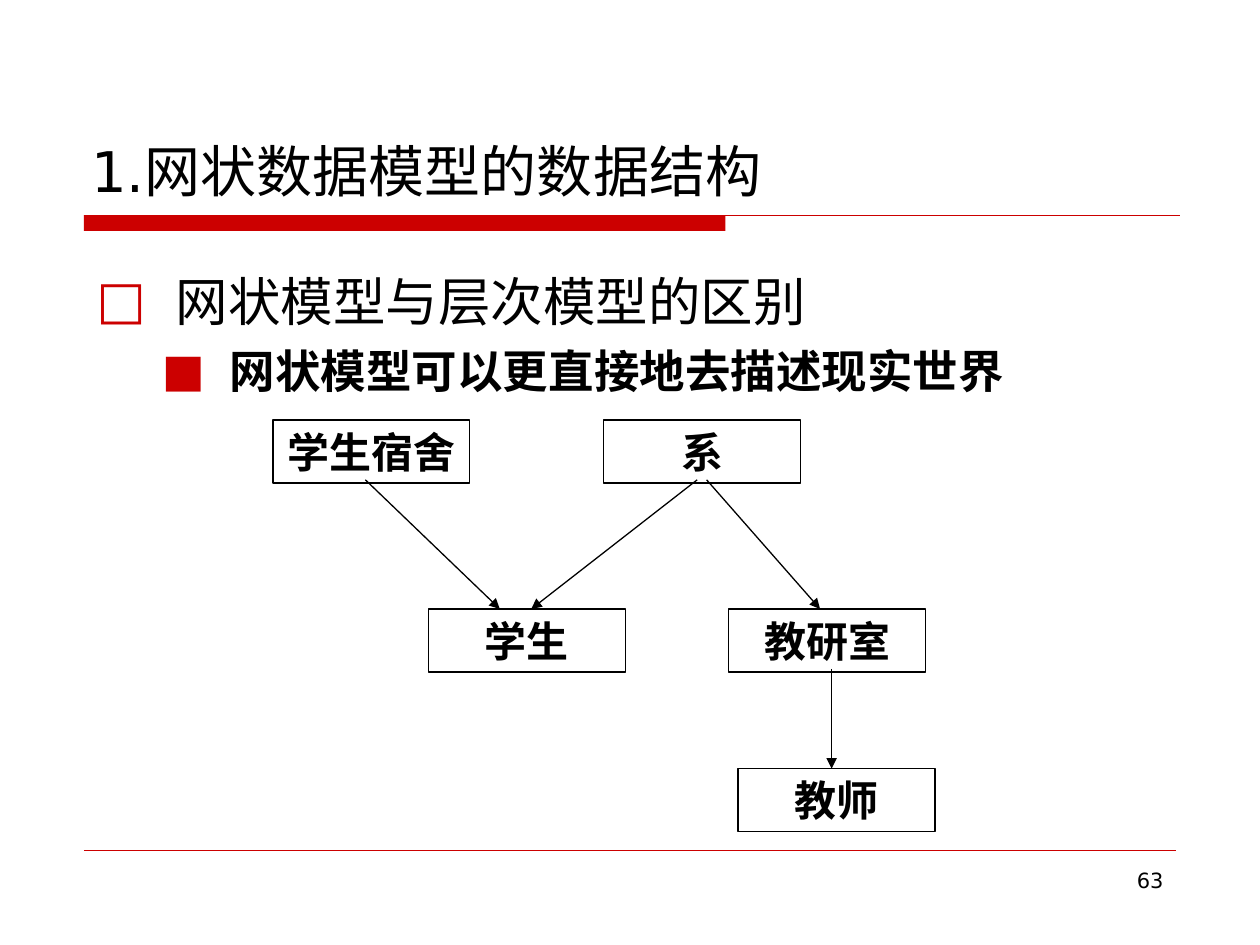
import pptx
import pptx.util
import pptx.dml.color
import pptx.enum.shapes
import pptx.enum.text
import pptx.oxml
import pptx.oxml.ns
from dataclasses import dataclass
from lxml import etree

ALIGN = pptx.enum.text.PP_ALIGN
ANCHOR = pptx.enum.text.MSO_ANCHOR


@dataclass(frozen=True)
class Theme:
    ink: str = "000000"
    accent: str = "CC0000"
    sans: str = "DejaVu Sans"
    serif: str = "Times New Roman"
    title: int = 32
    point: int = 30
    subpoint: int = 26
    node: int = 24
    number: int = 12


def color(value):
    return pptx.dml.color.RGBColor.from_string(value)


def grid(*cells):
    """Lengths in grid cells: 120 columns by 90 rows, 12 to the inch."""
    return [pptx.util.Inches(cell / 12) for cell in cells]


def add_xml(parent, tag, **attributes):
    return etree.SubElement(parent, pptx.oxml.ns.qn(tag), **attributes)


class SlideBuilder:
    def __init__(self, presentation, theme):
        self.theme = theme
        self.slide = presentation.slides.add_slide(presentation.slide_layouts[5])

    def set_text(self, paragraph, text, size, font, bold=False, align=ALIGN.LEFT):
        paragraph.text = text
        paragraph.alignment = align
        paragraph.font.size = pptx.util.Pt(size)
        paragraph.font.name = font
        paragraph.font.bold = bold
        paragraph.font.color.rgb = color(self.theme.ink)

    def frame(self, shape, anchor):
        frame = shape.text_frame
        frame.word_wrap = True
        frame.auto_size = pptx.enum.text.MSO_AUTO_SIZE.NONE
        frame.vertical_anchor = anchor
        return frame

    def title(self, text, *box):
        heading = self.slide.shapes.title
        heading.left, heading.top, heading.width, heading.height = grid(*box)
        frame = self.frame(heading, ANCHOR.BOTTOM)
        self.set_text(frame.paragraphs[0], text, self.theme.title, self.theme.sans)

    def rectangle(self, *box):
        shape = self.slide.shapes.add_shape(
            pptx.enum.shapes.MSO_SHAPE.RECTANGLE, *grid(*box))
        shape.shadow.inherit = False
        return shape

    def bar(self, *box):
        shape = self.rectangle(*box)
        shape.fill.solid()
        shape.fill.fore_color.rgb = color(self.theme.accent)
        shape.line.fill.background()

    def node(self, text, left, top):
        shape = self.rectangle(left, top, 18.75, 6)
        shape.fill.background()
        shape.line.color.rgb = color(self.theme.ink)
        shape.line.width = pptx.util.Pt(0.75)
        frame = self.frame(shape, ANCHOR.MIDDLE)
        self.set_text(frame.paragraphs[0], text, self.theme.node, self.theme.serif,
                      bold=True, align=ALIGN.CENTER)

    def line(self, *ends, ink, width=0.75, arrow=False):
        connector = self.slide.shapes.add_connector(
            pptx.enum.shapes.MSO_CONNECTOR.STRAIGHT, *grid(*ends))
        connector.line.color.rgb = color(ink)
        connector.line.width = pptx.util.Pt(width)
        properties = connector._element.spPr
        if arrow:
            outline = properties.find(pptx.oxml.ns.qn("a:ln"))
            add_xml(outline, "a:tailEnd", type="triangle")
        add_xml(properties, "a:effectLst")

    def text_box(self, *box):
        return self.frame(self.slide.shapes.add_textbox(*grid(*box)), ANCHOR.TOP)

    def bullet(self, paragraph, mark, text, size, level, margin, hanging, bold=False):
        paragraph.level = level
        properties = paragraph._p.get_or_add_pPr()
        properties.set("marL", str(pptx.util.Inches(margin)))
        properties.set("indent", str(-pptx.util.Inches(hanging)))
        add_xml(add_xml(properties, "a:buClr"), "a:srgbClr", val=self.theme.accent)
        add_xml(properties, "a:buFont", typeface=self.theme.sans)
        add_xml(properties, "a:buChar", char=mark)
        self.set_text(paragraph, text, size, self.theme.sans, bold)


def main():
    theme = Theme()
    presentation = pptx.Presentation()
    presentation.slide_width = pptx.util.Inches(10)
    presentation.slide_height = pptx.util.Inches(7.5)
    page = SlideBuilder(presentation, theme)

    # Title, its rule and the footer
    page.bar(8, 20.5, 61.1, 1.5)
    page.line(8, 20.5, 112.4, 20.5, ink=theme.accent)
    page.line(8, 81, 112, 81, ink=theme.accent, width=0.25)
    page.title("1.网状数据模型的数据结构", 7.5, 4, 105, 16)
    page_number = page.text_box(86, 82, 26, 6.2)
    page.set_text(page_number.paragraphs[0], "63", theme.number, theme.sans,
                  align=ALIGN.RIGHT)

    # Network of record types
    upper, middle, lower = 40, 58, 73.2
    for name, left, top in [
        ("学生宿舍", 26, upper),
        ("系", 57.5, upper),
        ("学生", 40.8, middle),
        ("教研室", 69.4, middle),
        ("教师", 70.3, lower),
    ]:
        page.node(name, left, top)

    # Arrows start just inside the parent's lower edge
    inside = 5.7
    for start, parent_row, end, child_row in [
        (34.8, upper, 47.6, middle),
        (66.4, upper, 50.6, middle),
        (67.3, upper, 78.1, middle),
        (79.2, middle, 79.2, lower),
    ]:
        page.line(start, parent_row + inside, end, child_row,
                  ink=theme.ink, arrow=True)

    # Statement above the network
    points = page.text_box(8, 25, 100, 14)
    page.bullet(points.paragraphs[0], "□", "网状模型与层次模型的区别",
                theme.point, 0, 0.63, 0.63)
    detail = points.add_paragraph()
    page.bullet(detail, "■", "网状模型可以更直接地去描述现实世界",
                theme.subpoint, 1, 1.06, 0.54, bold=True)
    detail.space_before = pptx.util.Pt(6.5)

    presentation.save("out.pptx")


if __name__ == "__main__":
    main()
